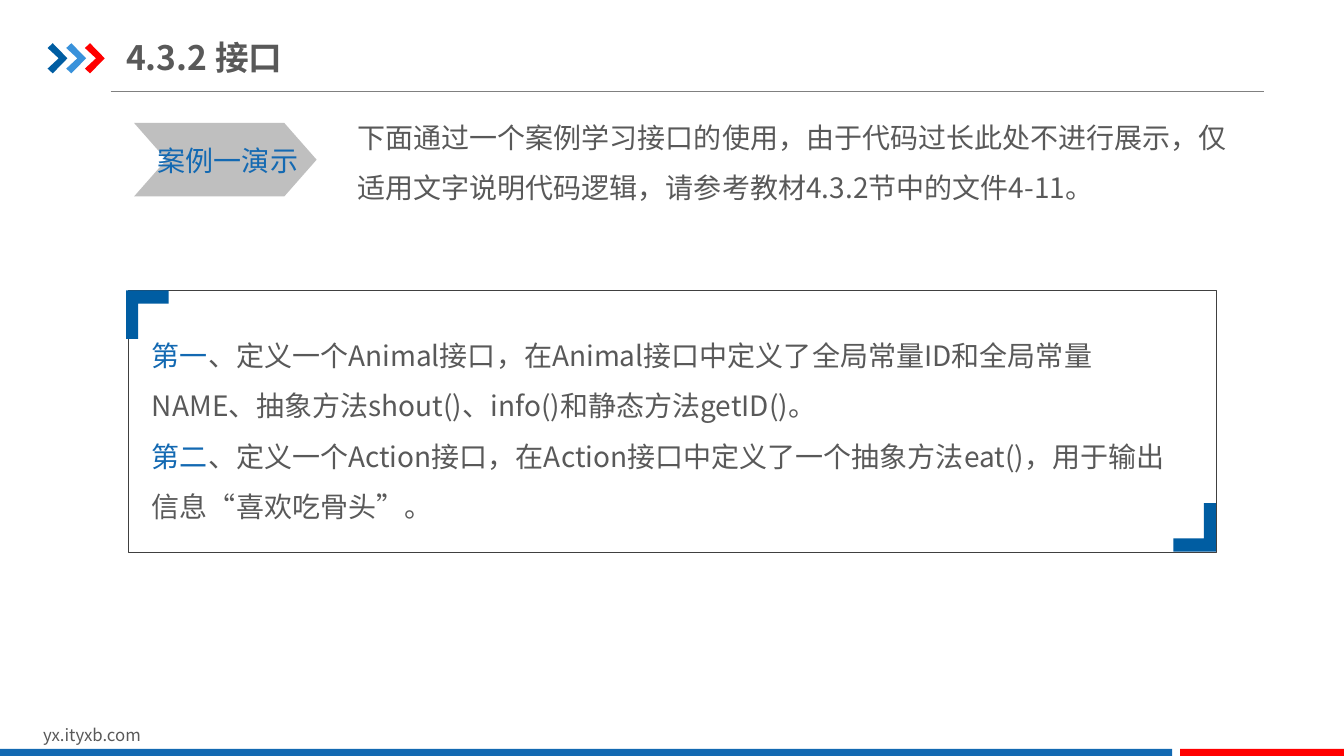
from dataclasses import dataclass

from lxml.etree import SubElement as Sub
from pptx import Presentation
from pptx.dml.color import RGBColor as RGB
from pptx.enum.shapes import MSO_CONNECTOR as LINK, MSO_SHAPE as KIND
from pptx.enum.text import MSO_ANCHOR as ANCHOR, MSO_AUTO_SIZE as FIT
from pptx.oxml.ns import qn
from pptx.util import Cm, Pt


@dataclass(frozen=True)
class Theme:
    face: str = "Noto Sans CJK SC"
    text: str = "595959"
    blue: str = "1369B2"
    navy: str = "005DA2"
    sky: str = "3992DB"
    red: str = "FF0000"
    rule: str = "808080"
    frame: str = "404040"
    tag: str = "BFBFBF"
    title: int = 24
    body: int = 20
    foot: int = 12


THEME = Theme()
ARROW = [(0, 0.12), (0.13, 0), (0.5, 0.38), (0.13, 0.76), (0, 0.64), (0.28, 0.38)]
ANGLE = [(0, 0), (1.07, 0), (1.07, 0.33), (0.3, 0.33), (0.3, 1.22), (0, 1.22)]


def paint(shape, fill=None, line=None, width=0.25):
    """Set fill and outline; None leaves either one empty."""
    shape.shadow.inherit = False
    if fill:
        shape.fill.solid()
        shape.fill.fore_color.rgb = RGB.from_string(fill)
    else:
        shape.fill.background()
    if line:
        shape.line.color.rgb = RGB.from_string(line)
        shape.line.width = Pt(width)
    else:
        shape.line.fill.background()


def add_block(slide, kind, box, **look):
    shape = slide.shapes.add_shape(kind, *map(Cm, box))
    paint(shape, **look)
    return shape


def add_form(slide, left, top, dots, fill, sign=1):
    """Draw an outline from its corner; sign -1 turns it half round."""
    spots = [(Cm(left + sign * x), Cm(top + sign * y)) for x, y in dots]
    form = slide.shapes.build_freeform(*spots[0])
    form.add_line_segments(spots[1:], close=True)
    paint(form.convert_to_shape(), fill=fill)


def add_rule(slide, left, right, top):
    rule = slide.shapes.add_connector(
        LINK.STRAIGHT, Cm(left), Cm(top), Cm(right), Cm(top))
    rule.line.color.rgb = RGB.from_string(THEME.rule)
    rule.line.width = Pt(0.75)
    Sub(rule._element.spPr, qn("a:effectLst"))


def add_text(slide, box, paras, size, bold=False, space=None, wrap=True):
    """Each paragraph is a list of (words, colour) runs."""
    frame = slide.shapes.add_textbox(*map(Cm, box)).text_frame
    frame.word_wrap = wrap
    frame.auto_size = FIT.SHAPE_TO_FIT_TEXT
    for i, runs in enumerate(paras):
        para = frame.add_paragraph() if i else frame.paragraphs[0]
        para.line_spacing = space
        font = para.font
        font.size, font.bold, font.name = Pt(size), bold, THEME.face
        Sub(para._p.pPr.find(qn("a:defRPr")), qn("a:ea"), typeface=THEME.face)
        for words, tint in runs:
            run = para.add_run()
            run.text = words
            run.font.color.rgb = RGB.from_string(tint)
    return frame


def add_head(slide):
    add_rule(slide, 2.79, 31.85, 2.31)
    for i, tint in enumerate((THEME.navy, THEME.sky, THEME.red)):
        add_form(slide, 1.2 + 0.47 * i, 1.09, ARROW, tint)
    frame = add_text(slide, (3.18, 0.74, 10.82, 1.4),
                     [[("4.3.2 接口", THEME.text)]], THEME.title, bold=True)
    frame.auto_size = FIT.NONE
    frame.vertical_anchor = ANCHOR.MIDDLE
    frame.margin_left = frame.margin_right = 0
    frame.margin_top = frame.margin_bottom = Cm(0.18)


def add_foot(slide):
    add_text(slide, (0.84, 18.14, 8.08, 0.76),
             [[("yx.ityxb.com", THEME.text)]], THEME.foot)
    for left, width, tint in ((0, 29.54, THEME.blue), (29.74, 4.13, THEME.red)):
        add_block(slide, KIND.RECTANGLE, (left, 18.87, width, 0.22), fill=tint)


def add_intro(slide):
    tag = add_block(slide, KIND.CHEVRON, (3.38, 3.1, 4.6, 1.85), fill=THEME.tag)
    tag.adjustments[0] = 0.44
    add_text(slide, (3.73, 3.48, 4.04, 1.12),
             [[("案例一演示", THEME.blue)]], THEME.body, wrap=False)
    add_text(slide, (8.76, 2.49, 22.78, 2.82),
             [[("下面通过一个案例学习接口的使用，由于代码过长此处不进行展示，"
                "仅适用文字说明代码逻辑，请参考教材4.3.2节中的文件4-11。", THEME.text)]],
             THEME.body, space=1.5)


def add_steps(slide):
    steps = (
        ("第一", "、定义一个Animal接口，在Animal接口中定义了全局常量ID和全局常量NAME、"
                 "抽象方法shout()、info()和静态方法getID()。"),
        ("第二", "、定义一个Action接口，在Action接口中定义了一个抽象方法eat()，"
                 "用于输出信息“喜欢吃骨头”。"),
    )
    add_text(slide, (3.58, 7.98, 26.47, 5.38),
             [[(mark, THEME.blue), (words, THEME.text)] for mark, words in steps],
             THEME.body, space=1.5)
    add_block(slide, KIND.RECTANGLE, (3.23, 7.32, 27.41, 6.6), line=THEME.frame)
    add_form(slide, 3.18, 7.32, ANGLE, THEME.navy)
    add_form(slide, 30.64, 13.9, ANGLE, THEME.navy, sign=-1)


def main():
    deck = Presentation()
    deck.slide_width, deck.slide_height = Cm(33.87), Cm(19.05)
    slide = deck.slides.add_slide(deck.slide_layouts[6])
    # Title bar and footer
    add_head(slide)
    add_foot(slide)
    # Case tag with its text, then the framed steps
    add_intro(slide)
    add_steps(slide)
    deck.save("out.pptx")


if __name__ == "__main__":
    main()
